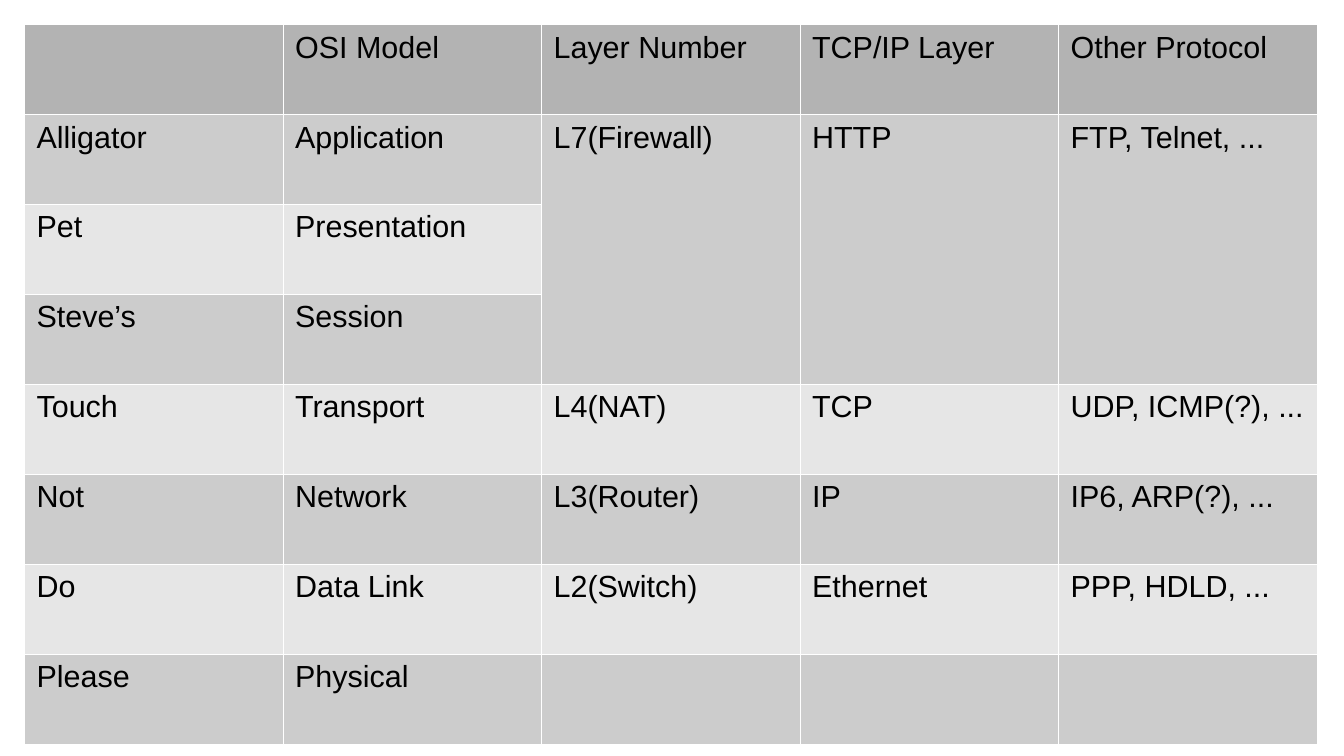
from lxml.etree import SubElement
from pptx import Presentation
from pptx.dml.color import RGBColor
from pptx.oxml.ns import qn
from pptx.util import Inches, Pt

SLIDE_WIDTH, SLIDE_HEIGHT = 11.02, 6.2
MARGIN = 0.2
TABLE_WIDTH, TABLE_HEIGHT = 10.6, 5.9
HEADER_FILL, ODD_FILL, EVEN_FILL = "B3B3B3", "CCCCCC", "E6E6E6"
TEXT_COLOR, BORDER_COLOR = "000000", "FFFFFF"

LAYERS = [
    ["", "OSI Model", "Layer Number", "TCP/IP Layer", "Other Protocol"],
    ["Alligator", "Application", "L7(Firewall)", "HTTP", "FTP, Telnet, ..."],
    ["Pet", "Presentation", "", "", ""],
    ["Steve’s", "Session", "", "", ""],
    ["Touch", "Transport", "L4(NAT)", "TCP", "UDP, ICMP(?), ..."],
    ["Not", "Network", "L3(Router)", "IP", "IP6, ARP(?), ..."],
    ["Do", "Data Link", "L2(Switch)", "Ethernet", "PPP, HDLD, ..."],
    ["Please", "Physical", "", "", ""],
]
MERGED_COLUMNS = range(2, 5)
MERGE_FIRST_ROW, MERGE_LAST_ROW = 1, 3


def color(hex_string):
    return RGBColor.from_string(hex_string)


def add_borders(cell):
    """Draw the four cell borders; call before the fill is set."""
    properties = cell._tc.get_or_add_tcPr()
    for side in ("lnL", "lnR", "lnT", "lnB"):
        border = SubElement(properties, qn(f"a:{side}"), w=str(Pt(0.06)))
        solid = SubElement(border, qn("a:solidFill"))
        SubElement(solid, qn("a:srgbClr"), val=BORDER_COLOR)


def row_fill(row):
    if row == 0:
        return HEADER_FILL
    return ODD_FILL if row % 2 else EVEN_FILL


def fill_cell(cell, label, fill):
    add_borders(cell)
    cell.fill.solid()
    cell.fill.fore_color.rgb = color(fill)
    cell.margin_left = cell.margin_right = Inches(0.1)
    cell.margin_top = cell.margin_bottom = Inches(0.05)
    if label:
        run = cell.text_frame.paragraphs[0].add_run()
        run.text = label
        run.font.name = "Arial"
        run.font.size = Pt(18)
        run.font.color.rgb = color(TEXT_COLOR)


def add_layer_table(slide, left, top, width, height):
    frame = slide.shapes.add_table(
        len(LAYERS), len(LAYERS[0]),
        Inches(left), Inches(top), Inches(width), Inches(height))
    table = frame.table
    table.first_row = False
    table.horz_banding = False
    for row, labels in enumerate(LAYERS):
        for column, label in enumerate(labels):
            fill_cell(table.cell(row, column), label, row_fill(row))
    for column in MERGED_COLUMNS:
        table.cell(MERGE_FIRST_ROW, column).merge(
            table.cell(MERGE_LAST_ROW, column))


def main():
    presentation = Presentation()
    presentation.slide_width = Inches(SLIDE_WIDTH)
    presentation.slide_height = Inches(SLIDE_HEIGHT)
    slide = presentation.slides.add_slide(presentation.slide_layouts[6])
    add_layer_table(slide, MARGIN, MARGIN, TABLE_WIDTH, TABLE_HEIGHT)
    presentation.save("out.pptx")


if __name__ == "__main__":
    main()
